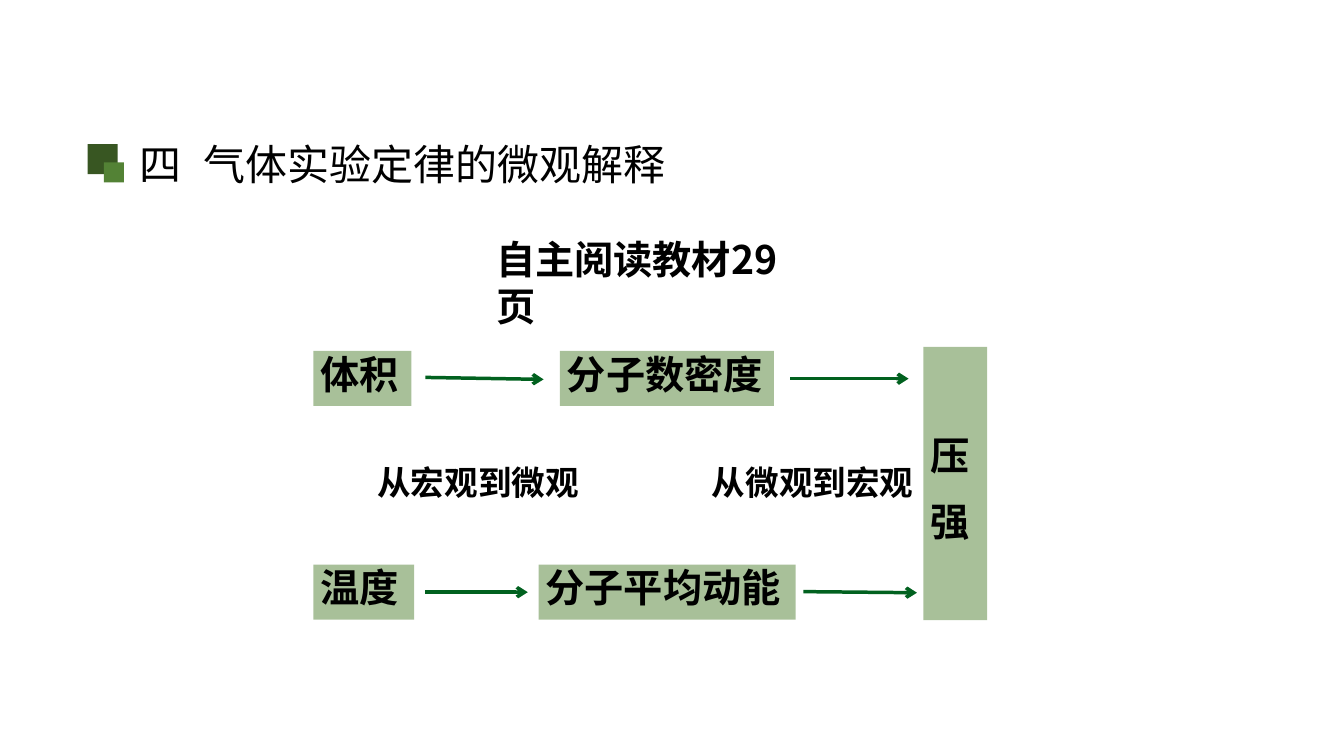
from lxml.etree import SubElement
from pptx import Presentation
from pptx.dml.color import RGBColor
from pptx.enum.shapes import MSO_CONNECTOR, MSO_SHAPE
from pptx.enum.text import MSO_ANCHOR, MSO_AUTO_SIZE, PP_ALIGN
from pptx.oxml.ns import qn
from pptx.util import Pt

# Content: positions are left, top, width, height in points
FONT = "Noto Sans CJK SC"
BLACK, DARK_GREEN, GREEN, ARROW_GREEN = "000000", "385622", "538235", "01611F"

TITLE = ("四\t气体实验定律的微观解释", (98.6, 97.2, 377.3, 38.2))
READING = (["自主阅读教材", "29页"], (353.5, 166.3, 224.6, 35.3))
DIRECTIONS = (["从宏观到微观\t", "从微观到宏观"], (268.6, 327.6, 384.5, 31))
TITLE_SQUARES = [(62.6, 103, 21.4, DARK_GREEN), (74.2, 116, 14.4, GREEN)]

BOX_HEIGHT = 39.4
ROWS = [  # top, boxes (text, left, width), arrows (from x, y, to x, y)
    (250.6, [("体积", 223.9, 70), ("分子数密度", 400, 152.8)],
     [(303.8, 269.6, 388.3, 271), (564.5, 270.5, 649, 270.5)]),
    (403.3, [("温度", 223.9, 72), ("分子平均动能", 384.8, 183.5)],
     [(303.8, 423, 377, 423), (573.8, 422.6, 655, 423.4)]),
]
PRESSURE = ("压 强", (659.6, 247.8, 45.5, 195.2))


def color(value):
    return RGBColor.from_string(value)


def write(shape, runs, size, bold=True, left=1, top=2, spacing=None, tab=None):
    frame = shape.text_frame
    frame.word_wrap = True
    frame.auto_size = MSO_AUTO_SIZE.NONE
    frame.vertical_anchor = MSO_ANCHOR.TOP
    frame.margin_left, frame.margin_top = Pt(left), Pt(top)
    frame.margin_right = frame.margin_bottom = 0
    paragraph = frame.paragraphs[0]
    paragraph.alignment = PP_ALIGN.LEFT
    if tab:
        tabs = SubElement(paragraph._p.get_or_add_pPr(), qn("a:tabLst"))
        SubElement(tabs, qn("a:tab"), pos=str(Pt(tab)), algn="l")
    if spacing:
        paragraph.line_spacing = spacing
    for text in runs:
        run = paragraph.add_run()
        run.text = text
        run.font.name, run.font.size, run.font.bold = FONT, Pt(size), bold
        run.font.color.rgb = color(BLACK)
        SubElement(run.font._element, qn("a:ea"), typeface=FONT)


def add_rectangle(slide, place, fill, alpha=None):
    shape = slide.shapes.add_shape(MSO_SHAPE.RECTANGLE, *map(Pt, place))
    shape.shadow.inherit = False
    shape.line.fill.background()
    shape.fill.solid()
    shape.fill.fore_color.rgb = color(fill)
    if alpha:
        value = shape.fill._xPr.find(".//" + qn("a:srgbClr"))
        SubElement(value, qn("a:alpha"), val=str(alpha * 1000))
    return shape


def add_arrow(slide, ends):
    arrow = slide.shapes.add_connector(MSO_CONNECTOR.STRAIGHT, *map(Pt, ends))
    arrow.line.width = Pt(2.5)
    arrow.line.color.rgb = color(ARROW_GREEN)
    SubElement(arrow.line._get_or_add_ln(), qn("a:tailEnd"), type="arrow", w="med", len="med")
    SubElement(arrow._element.spPr, qn("a:effectLst"))


def main():
    presentation = Presentation()
    presentation.slide_width, presentation.slide_height = Pt(960), Pt(540)
    slide = presentation.slides.add_slide(presentation.slide_layouts[5])

    # Title with its two squares
    text, place = TITLE
    title = slide.shapes.title
    title.left, title.top, title.width, title.height = map(Pt, place)
    write(title, [text], 30, bold=False, tab=46)
    for left, top, side, fill in TITLE_SQUARES:
        add_rectangle(slide, (left, top, side, side), fill)

    # Reading task and direction labels
    for (runs, place), size, tab in [(READING, 28, None), (DIRECTIONS, 24, 239)]:
        write(slide.shapes.add_textbox(*map(Pt, place)), runs, size, tab=tab)

    # Cause rows with arrows
    for top, boxes, arrows in ROWS:
        for text, left, width in boxes:
            box = add_rectangle(slide, (left, top, width, BOX_HEIGHT), GREEN, 50)
            write(box, [text], 28, left=5, top=0, spacing=Pt(33))
        for ends in arrows:
            add_arrow(slide, ends)

    # Pressure box
    text, place = PRESSURE
    write(add_rectangle(slide, place, GREEN, 50), [text], 28, left=5, top=47, spacing=1.4)

    presentation.save("out.pptx")


if __name__ == "__main__":
    main()
